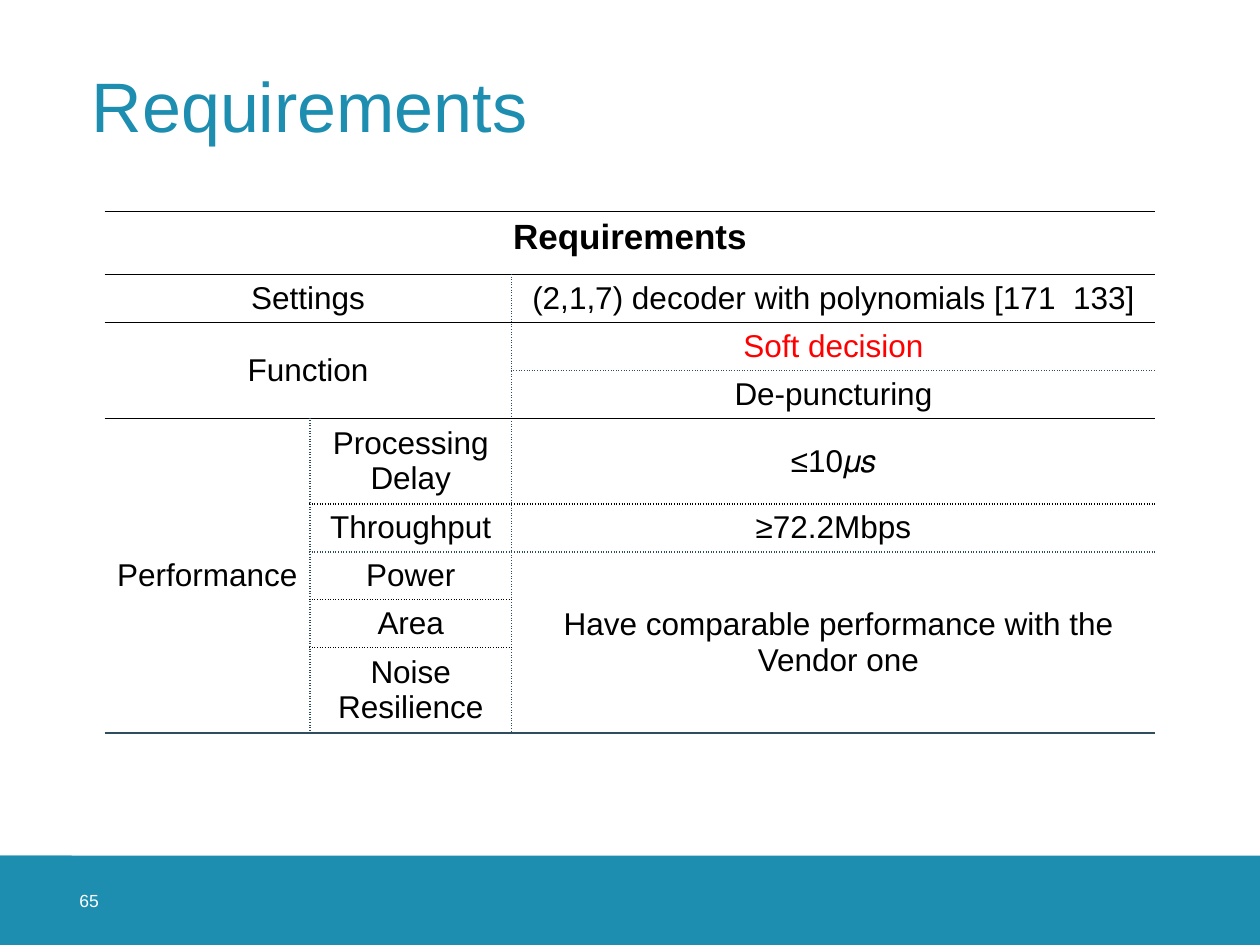
"""Build the decoder requirements slide."""
import pptx
import pptx.util
import pptx.dml.color
import pptx.enum.shapes
import pptx.enum.text
import pptx.oxml.ns
from lxml import etree

Inches = pptx.util.Inches
RGBColor = pptx.dml.color.RGBColor
Align = pptx.enum.text.PP_ALIGN
Anchor = pptx.enum.text.MSO_ANCHOR

TEAL = RGBColor(0x1D, 0x8D, 0xB0)
SLATE = RGBColor(0x2F, 0x4D, 0x5D)
BLACK = RGBColor(0, 0, 0)
WHITE = RGBColor(0xFF, 0xFF, 0xFF)
RED = RGBColor(0xFF, 0, 0)

COLUMNS = [1.63, 1.6, 5.11]
ROWS = [0.5, 0.38, 0.38, 0.38, 0.66, 0.38, 0.38, 0.38, 0.67]
CELL_INSET = (0.08, 0.04)
HEADER = {"size": 20, "bold": True, "anchor": Anchor.TOP, "inset": (0.08, 0.05)}

# row, column, rows spanned, columns spanned, text, format
CELLS = [
    (0, 0, 1, 3, "Requirements", HEADER),
    (1, 0, 1, 2, "Settings", {}),
    (1, 2, 1, 1, "(2,1,7) decoder with polynomials [171  133]", {}),
    (2, 0, 2, 2, "Function", {}),
    (2, 2, 1, 1, "Soft decision", {"color": RED}),
    (3, 2, 1, 1, "De-puncturing", {}),
    (4, 0, 5, 1, "Performance", {}),
    (4, 1, 1, 1, "Processing Delay", {}),
    (4, 2, 1, 1, "≤10𝜇𝑠", {}),
    (5, 1, 1, 1, "Throughput", {}),
    (5, 2, 1, 1, "≥72.2Mbps", {}),
    (6, 1, 1, 1, "Power", {}),
    (6, 2, 3, 1, "Have comparable performance with the Vendor one", {"indent": 0.08}),
    (7, 1, 1, 1, "Area", {}),
    (8, 1, 1, 1, "Noise Resilience", {}),
]

SOLID = (BLACK, "solid")
DOTTED = (BLACK, "dot")
SLATE_DOTTED = (SLATE, "dot")
SLATE_SOLID = (SLATE, "solid")
DIVIDER = (SLATE, "sysDot")
HORIZONTAL = [
    [SOLID] * 3,
    [SOLID] * 3,
    [SOLID] * 3,
    [None, None, SLATE_DOTTED],
    [SOLID] * 3,
    [None, DOTTED, DOTTED],
    [None, SLATE_DOTTED, SLATE_DOTTED],
    [None, DOTTED, None],
    [None, DOTTED, None],
    [SLATE_SOLID] * 3,
]
DIVIDER_FIRST_ROW = {1: 4, 2: 1}


def write(frame, text, size=18, color=BLACK, bold=False, align=Align.CENTER,
          spacing=None, indent=0):
    para = frame.paragraphs[0]
    para.alignment = align
    para.line_spacing = spacing
    if indent:
        para._p.get_or_add_pPr().set("marL", str(Inches(indent)))
    span = para.add_run()
    span.text = text
    span.font.name = "Arial"
    span.font.size = pptx.util.Pt(size)
    span.font.bold = bold
    span.font.color.rgb = color


def set_inset(holder, inset):
    holder.margin_left = holder.margin_right = Inches(inset[0])
    holder.margin_top = holder.margin_bottom = Inches(inset[1])


def add_text(page, area, text, inset=(0, 0), **style):
    box = page.shapes.add_textbox(*map(Inches, area))
    frame = box.text_frame
    frame.word_wrap = True
    frame.vertical_anchor = Anchor.MIDDLE
    set_inset(frame, inset)
    write(frame, text, align=Align.LEFT, **style)


def add_bar(page, width):
    bar = page.shapes.add_shape(pptx.enum.shapes.MSO_SHAPE.RECTANGLE,
                                0, Inches(6.79), Inches(width), Inches(0.71))
    bar.shadow.inherit = False
    bar.fill.solid()
    bar.fill.fore_color.rgb = TEAL
    bar.line.fill.background()


def add_border(cell, side, rule):
    qn = pptx.oxml.ns.qn
    line = etree.SubElement(cell._tc.get_or_add_tcPr(), qn(f"a:ln{side}"))
    if rule is None:
        line.set("w", "0")
        etree.SubElement(line, qn("a:noFill"))
        return
    color, dash = rule
    line.set("w", str(pptx.util.Pt(1)))
    fill = etree.SubElement(line, qn("a:solidFill"))
    etree.SubElement(fill, qn("a:srgbClr"), val=str(color))
    etree.SubElement(line, qn("a:prstDash"), val=dash)


def vertical_rule(row, edge):
    first = DIVIDER_FIRST_ROW.get(edge)
    return DIVIDER if first is not None and row >= first else None


def add_requirements(page):
    shape = page.shapes.add_table(len(ROWS), len(COLUMNS), Inches(0.83), Inches(1.68),
                                  Inches(sum(COLUMNS)), Inches(sum(ROWS)))
    table = shape.table
    table.first_row = False
    table.horz_banding = False
    for column, width in zip(table.columns, COLUMNS):
        column.width = Inches(width)
    for row, height in zip(table.rows, ROWS):
        row.height = Inches(height)
    for row, column, tall, wide, text, style in CELLS:
        cell = table.cell(row, column)
        if tall * wide > 1:
            cell.merge(table.cell(row + tall - 1, column + wide - 1))
        style = dict(style)
        cell.vertical_anchor = style.pop("anchor", Anchor.MIDDLE)
        set_inset(cell, style.pop("inset", CELL_INSET))
        write(cell.text_frame, text, **style)
    for row in range(len(ROWS)):
        for column in range(len(COLUMNS)):
            cell = table.cell(row, column)
            tall, wide = (cell.span_height, cell.span_width) if cell.is_merge_origin else (1, 1)
            add_border(cell, "L", vertical_rule(row, column))
            add_border(cell, "R", vertical_rule(row, column + wide))
            add_border(cell, "T", HORIZONTAL[row][column])
            add_border(cell, "B", HORIZONTAL[row + tall][column])
            cell.fill.background()


def main():
    deck = pptx.Presentation()
    deck.slide_width, deck.slide_height = Inches(10), Inches(7.5)
    page = deck.slides.add_slide(deck.slide_layouts[6])
    add_bar(page, 10)
    add_text(page, (0.63, 6.79, 0.71, 0.71), "65", size=10, color=WHITE)
    add_text(page, (0.63, 0.24, 8.74, 1.26), "Requirements", inset=(0.1, 0.05),
             size=40, color=TEAL, spacing=0.9)
    add_requirements(page)
    add_bar(page, 0.57)
    deck.save("out.pptx")


if __name__ == "__main__":
    main()
